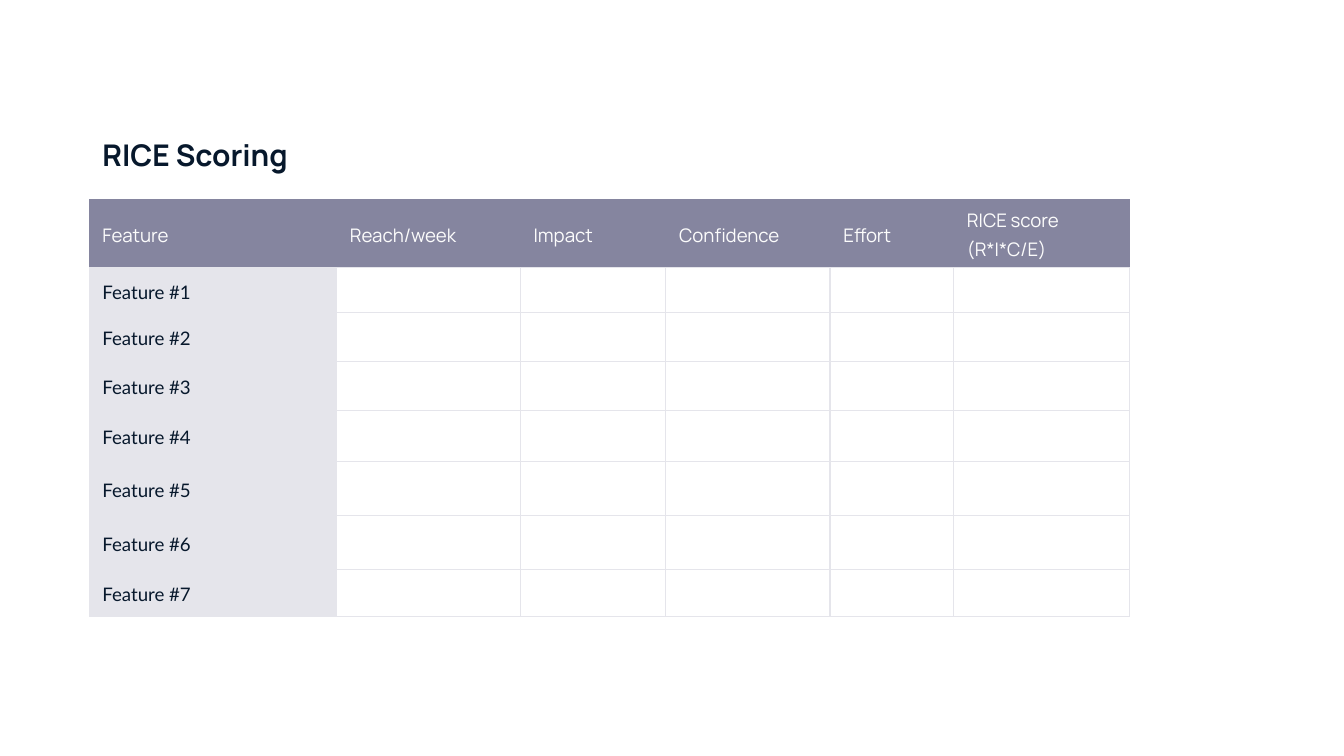
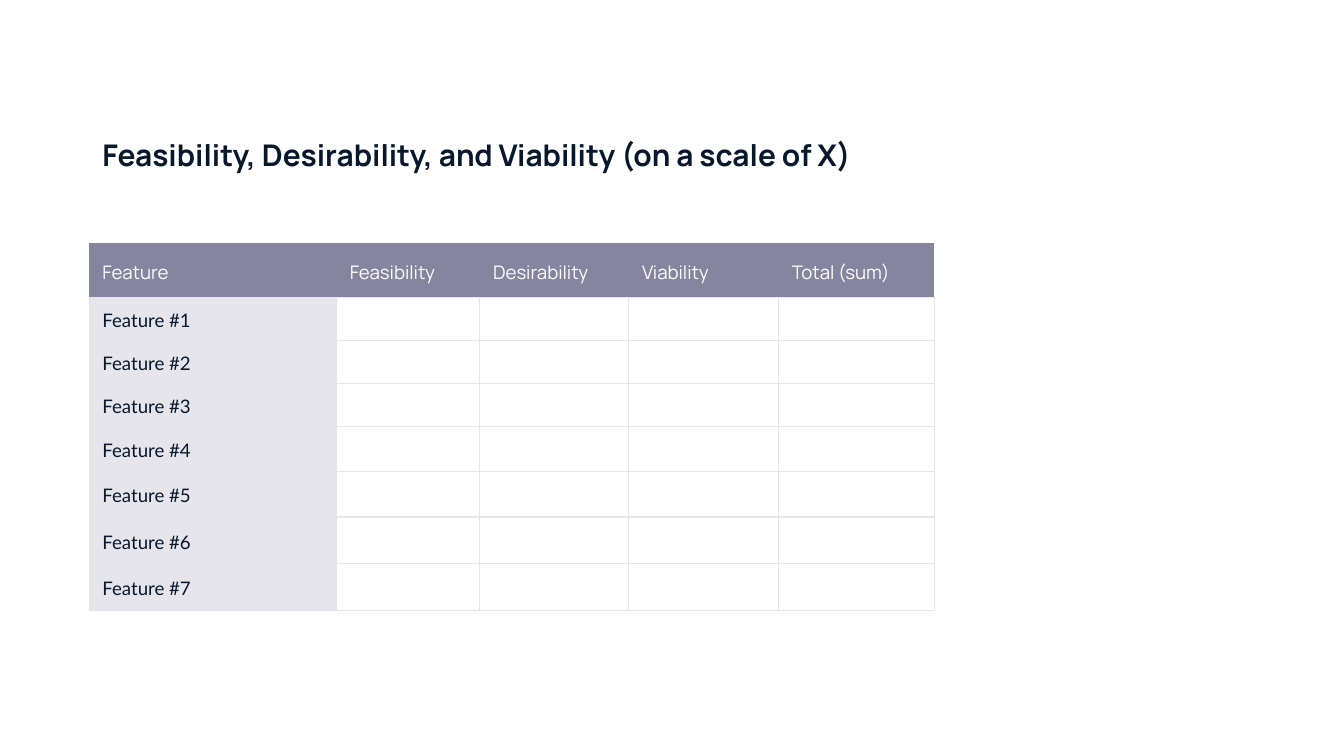
from dataclasses import dataclass

import lxml.etree
import pptx
import pptx.dml.color
import pptx.enum.text
import pptx.oxml.ns
import pptx.util

Pt = pptx.util.Pt
qn = pptx.oxml.ns.qn


@dataclass(frozen=True)
class Theme:
    ink: str = "07182C"
    header_text: str = "FCFCFC"
    header_fill: str = "85859F"
    pale: str = "E5E5EB"
    paper: str = "FFFFFF"
    heading_font: str = "Manrope"
    label_font: str = "Lato"
    title_size: float = 16
    table_size: float = 10
    border_width: float = 0.75
    line_spacing: float = 1.15
    left: float = 47.7
    plain_table_style: str = "{2D5ABB26-0587-4C30-8999-92F81FD0307C}"


THEME = Theme()
FEATURES = [f"Feature #{number}" for number in range(1, 8)]


def rgb(code):
    return pptx.dml.color.RGBColor.from_string(code)


def style_paragraph(paragraph, font_name, size, color, bold=False):
    paragraph.font.name = font_name
    paragraph.font.size = Pt(size)
    paragraph.font.color.rgb = rgb(color)
    paragraph.font.bold = bold


def add_title(slide, wording):
    title = slide.shapes.title
    title.left, title.top = Pt(THEME.left), Pt(66.2)
    title.width, title.height = Pt(624), Pt(33.8)
    frame = title.text_frame
    frame.text = wording
    frame.word_wrap = True
    frame.auto_size = pptx.enum.text.MSO_AUTO_SIZE.NONE
    frame.vertical_anchor = pptx.enum.text.MSO_ANCHOR.MIDDLE
    frame.margin_left = frame.margin_right = Pt(7.2)
    frame.margin_top = frame.margin_bottom = Pt(7.2)
    heading = frame.paragraphs[0]
    heading.alignment = pptx.enum.text.PP_ALIGN.LEFT
    style_paragraph(heading, THEME.heading_font, THEME.title_size, THEME.ink, True)


def set_borders(cell, sides):
    properties = cell._tc.get_or_add_tcPr()
    for side in "LRTB":
        line = lxml.etree.SubElement(properties, qn(f"a:ln{side}"))
        if side in sides:
            line.set("w", str(Pt(THEME.border_width)))
            fill = lxml.etree.SubElement(line, qn("a:solidFill"))
            lxml.etree.SubElement(fill, qn("a:srgbClr")).set("val", THEME.pale)
        else:
            lxml.etree.SubElement(line, qn("a:noFill"))


def format_cell(cell, sides, fill=None, right_margin=7.2):
    cell.margin_left, cell.margin_right = Pt(7.2), Pt(right_margin)
    cell.margin_top = cell.margin_bottom = Pt(1.44)
    cell.vertical_anchor = pptx.enum.text.MSO_ANCHOR.MIDDLE
    set_borders(cell, sides)
    if fill:
        cell.fill.solid()
        cell.fill.fore_color.rgb = rgb(fill)
    else:
        cell.fill.background()


def fill_label(cell, wording, font_name, color):
    cell.text = wording
    label = cell.text_frame.paragraphs[0]
    label.line_spacing = THEME.line_spacing
    style_paragraph(label, font_name, THEME.table_size, color)


def fill_blank(cell, sides):
    format_cell(cell, sides)
    ending = cell.text_frame.paragraphs[0]._p.get_or_add_endParaRPr()
    ending.set("sz", str(int(THEME.table_size * 100)))


def add_scoring_table(slide, headings, widths, heights):
    grid = slide.shapes.add_table(
        len(heights), len(widths), Pt(THEME.left), Pt(106.6),
        Pt(sum(widths)), Pt(sum(heights))).table
    grid.first_row = grid.horz_banding = False
    grid._tbl.tblPr.find(qn("a:tableStyleId")).text = THEME.plain_table_style
    for column, width in zip(grid.columns, widths):
        column.width = Pt(width)
    for row, height in zip(grid.rows, heights):
        row.height = Pt(height)

    header_row = len(heights) - len(FEATURES) - 1
    for row in range(header_row):
        for column in range(len(widths)):
            fill_blank(grid.cell(row, column), "")
        grid.cell(row, 2).merge(grid.cell(row, len(widths) - 1))

    for column, heading in enumerate(headings):
        cell = grid.cell(header_row, column)
        format_cell(cell, "B", THEME.header_fill, 7.2 if column else 2.16)
        fill_label(cell, heading, THEME.heading_font, THEME.header_text)

    for row, feature in enumerate(FEATURES, header_row + 1):
        cell = grid.cell(row, 0)
        format_cell(cell, "RTB", THEME.pale, 2.16)
        fill_label(cell, feature, THEME.label_font, THEME.ink)
        for column in range(1, len(widths)):
            fill_blank(grid.cell(row, column), "LRTB")


def add_scoring_slide(deck, title, headings, widths, heights):
    slide = deck.slides.add_slide(deck.slide_layouts[5])
    slide.background.fill.solid()
    slide.background.fill.fore_color.rgb = rgb(THEME.paper)
    add_title(slide, title)
    add_scoring_table(slide, headings, widths, heights)


def main():
    deck = pptx.Presentation()
    deck.slide_width, deck.slide_height = Pt(720), Pt(405)
    add_scoring_slide(
        deck, "RICE Scoring",
        ["Feature", "Reach/week", "Impact", "Confidence", "Effort",
         "RICE score (R*I*C/E)"],
        [132.5, 98.5, 78, 88, 66.2, 94.3],
        [36.9, 23.9, 26.5, 26, 27.3, 28.9, 29.2, 24.9])
    add_scoring_slide(
        deck, "Feasibility, Desirability, and Viability (on a scale of X)",
        ["Feature", "Feasibility", "Desirability", "Viability", "Total (sum)"],
        [132.5, 76.8, 79.8, 80.2, 83.5],
        [23.6, 29, 23.1, 23.1, 23.2, 23.9, 24.6, 25, 25])
    deck.save("out.pptx")


if __name__ == "__main__":
    main()
